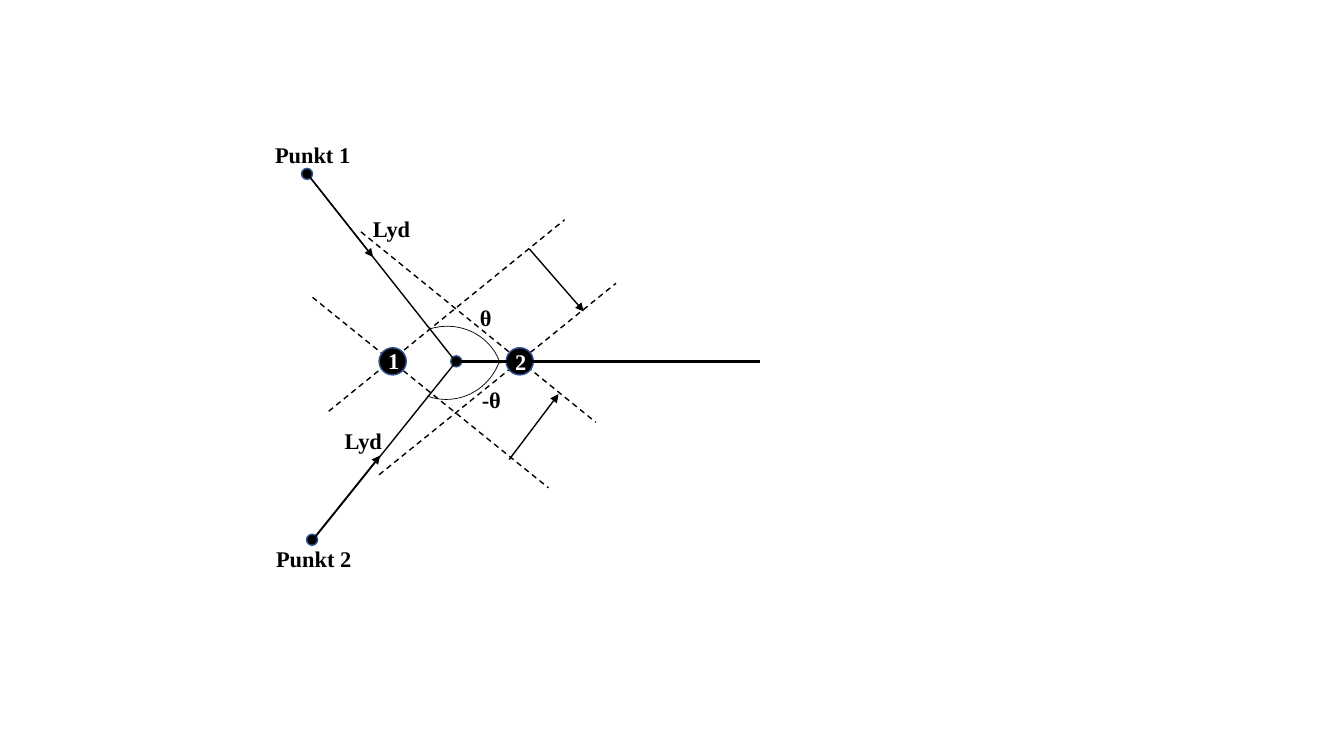
import pptx
import pptx.util
import pptx.dml.color
import pptx.enum.dml
import pptx.enum.shapes
import pptx.oxml.ns
import lxml.etree

Inches = pptx.util.Inches
Shapes = pptx.enum.shapes.MSO_SHAPE
COLORS = {"ink": "000000", "outline": "325491", "number": "FFFFFF"}


def color(name):
    return pptx.dml.color.RGBColor.from_string(COLORS[name])


def add_line(start, end, width=1, dashed=False, arrow=False):
    line = page.shapes.add_connector(
        pptx.enum.shapes.MSO_CONNECTOR.STRAIGHT,
        *[Inches(value) for value in start + end])
    line.line.color.rgb = color("ink")
    line.line.width = pptx.util.Pt(width)
    if dashed:
        line.line.dash_style = pptx.enum.dml.MSO_LINE.DASH
    if arrow:
        outline = line.line._get_or_add_ln()
        lxml.etree.SubElement(
            outline, pptx.oxml.ns.qn("a:tailEnd"), type="triangle")
    lxml.etree.SubElement(
        line._element.spPr, pptx.oxml.ns.qn("a:effectLst"))


deck = pptx.Presentation()
deck.slide_width = Inches(13.33)
deck.slide_height = Inches(7.5)
page = deck.slides.add_slide(deck.slide_layouts[6])

# Dashed wave fronts through both microphones
for start, end in [
    ((3.58, 2.3), (5.91, 4.19)),
    ((3.1, 2.95), (5.44, 4.84)),
    ((3.26, 4.08), (5.6, 2.18)),
    ((3.76, 4.71), (6.11, 2.81)),
]:
    add_line(start, end, dashed=True)

# Microphones, midpoint and sound sources: left, top, diameter
for left, top, diameter in [
    (3.76, 3.45, 0.27),
    (5.02, 3.45, 0.27),
    (4.47, 3.53, 0.11),
    (2.99, 1.67, 0.11),
    (3.04, 5.3, 0.11),
]:
    dot = page.shapes.add_shape(
        Shapes.OVAL, Inches(left), Inches(top),
        Inches(diameter), Inches(diameter))
    dot.shadow.inherit = False
    dot.fill.solid()
    dot.fill.fore_color.rgb = color("ink")
    dot.line.color.rgb = color("outline")
    dot.line.width = pptx.util.Pt(1)

# Axis and the paths of the sound
add_line((4.53, 3.59), (7.54, 3.59), width=2.25)
add_line((3.06, 1.74), (4.49, 3.55))
add_line((4.53, 3.58), (3.11, 5.35))

# Directions of travel
for start, end in [
    ((3.06, 1.74), (3.7, 2.55)),
    ((3.12, 5.33), (3.77, 4.52)),
    ((5.25, 2.47), (5.79, 3.09)),
    ((5.05, 4.56), (5.54, 3.91)),
]:
    add_line(start, end, arrow=True)

# Angle arcs: left, top, width, height, rotation, end of sweep
for left, top, width, height, rotation, sweep_end in [
    (3.85, 3.24, 1.14, 1.09, 340.7, 0.68),
    (3.87, 2.85, 1.13, 1.1, 109.8, 0.35),
]:
    arc = page.shapes.add_shape(
        Shapes.ARC, Inches(left), Inches(top), Inches(width), Inches(height))
    arc.adjustments[0] = 162.73
    arc.adjustments[1] = sweep_end
    arc.rotation = rotation
    arc.shadow.inherit = False
    arc.fill.background()
    arc.line.color.rgb = color("ink")
    arc.line.width = pptx.util.Pt(0.5)

# Labels
for text, left, top, width, ink in [
    ("Punkt 1", 2.63, 1.35, 1.02, "ink"),
    ("Punkt 2", 2.64, 5.36, 1.02, "ink"),
    ("Lyd", 3.6, 2.09, 0.82, "ink"),
    ("Lyd", 3.32, 4.19, 0.82, "ink"),
    ("θ", 4.66, 2.97, 0.82, "ink"),
    ("-θ", 4.68, 3.78, 0.82, "ink"),
    ("1", 3.75, 3.39, 0.31, "number"),
    ("2", 5.01, 3.4, 0.82, "number"),
]:
    box = page.shapes.add_textbox(
        Inches(left), Inches(top), Inches(width), Inches(0.37))
    box.text_frame.word_wrap = True
    para = box.text_frame.paragraphs[0]
    para.text = text
    para.font.name = "Times New Roman"
    para.font.size = pptx.util.Pt(16)
    para.font.bold = True
    para.font.color.rgb = color(ink)

deck.save("out.pptx")
